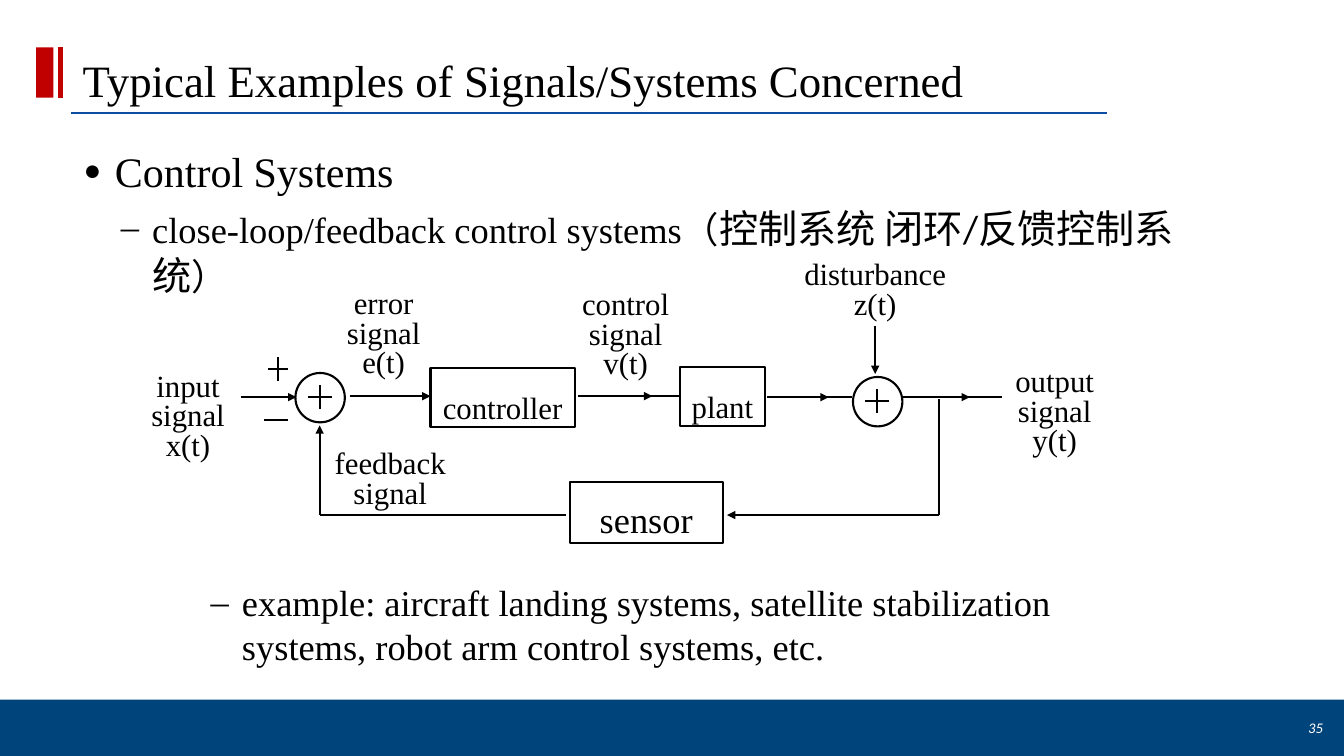
from dataclasses import dataclass

from lxml.etree import SubElement
from pptx import Presentation
from pptx.dml.color import RGBColor
from pptx.enum.shapes import MSO_CONNECTOR, MSO_SHAPE
from pptx.enum.text import MSO_ANCHOR, MSO_AUTO_SIZE, PP_ALIGN
from pptx.oxml.ns import qn
from pptx.util import Inches, Pt

SERIF = "Times New Roman"
BLACK = "000000"
RED = "C00000"
FORWARD_Y = 3.94
FEEDBACK_Y = 5.11
SENSE_X = 9.31
ERROR_X = 3.17


@dataclass(frozen=True)
class Box:
    left: float
    top: float
    width: float
    height: float


@dataclass(frozen=True)
class Block:
    text: str
    box: Box
    size: float = 22
    spacing: float = 1.5


@dataclass(frozen=True)
class Label:
    text: str
    box: Box
    anchor: MSO_ANCHOR = MSO_ANCHOR.TOP


@dataclass(frozen=True)
class Line:
    x1: float
    y1: float
    x2: float
    y2: float
    arrow: bool = False


BLOCKS = (
    Block("plant", Box(6.74, 3.64, 0.85, 0.59)),
    Block("controller", Box(4.27, 3.65, 1.43, 0.59)),
    Block("sensor", Box(5.65, 4.78, 1.52, 0.61), 26, 1.3),
)
LABELS = (
    Label("error signal e(t)", Box(3.3, 2.84, 1.01, 1)),
    Label("control signal v(t)", Box(5.59, 2.84, 1.23, 0.99), MSO_ANCHOR.MIDDLE),
    Label("output signal y(t)", Box(9.87, 3.61, 1.18, 0.99)),
    Label("input signal x(t)", Box(1.28, 3.65, 1.17, 0.99), MSO_ANCHOR.MIDDLE),
    Label("disturbance z(t)", Box(7.85, 2.55, 1.66, 0.7)),
    Label("feedback signal", Box(3.15, 4.42, 1.44, 0.69), MSO_ANCHOR.MIDDLE),
)
JUNCTIONS = ((ERROR_X, FORWARD_Y), (8.7, 3.98))
LINES = (
    Line(2.39, FORWARD_Y, 2.94, FORWARD_Y, True),
    Line(3.47, 3.93, 4.27, 3.93, True),
    Line(5.73, 3.93, 6.47, 3.93, True),
    Line(6.39, 3.93, 6.73, 3.93),
    Line(7.61, FORWARD_Y, 8.22, FORWARD_Y, True),
    Line(8.17, FORWARD_Y, 8.45, FORWARD_Y),
    Line(8.95, FORWARD_Y, 9.62, FORWARD_Y, True),
    Line(9.5, FORWARD_Y, 9.94, FORWARD_Y),
    Line(8.68, 3.23, 8.68, 3.71, True),
    Line(SENSE_X, 3.96, SENSE_X, FEEDBACK_Y),
    Line(SENSE_X, FEEDBACK_Y, 7.21, FEEDBACK_Y, True),
    Line(5.61, FEEDBACK_Y, ERROR_X, FEEDBACK_Y),
    Line(ERROR_X, FEEDBACK_Y, ERROR_X, 4.22, True),
    Line(2.62, 4.17, 2.86, 4.17),
)


def color(value: str) -> RGBColor:
    """Turn a hex string into a colour."""
    return RGBColor.from_string(value)


def place(shape, box: Box) -> None:
    """Move and size a shape."""
    shape.left, shape.top = Inches(box.left), Inches(box.top)
    shape.width, shape.height = Inches(box.width), Inches(box.height)


def format_run(run, size: float, font: str = SERIF, value: str = BLACK) -> None:
    """Give a run its font, size and colour."""
    run.font.name, run.font.size = font, Pt(size)
    run.font.color.rgb = color(value)


def add_shape(slide, kind: MSO_SHAPE, box: Box, fill: str = "", outline: str = ""):
    """Add a preset shape with an optional fill and outline."""
    shape = slide.shapes.add_shape(
        kind, Inches(box.left), Inches(box.top), Inches(box.width), Inches(box.height))
    shape.shadow.inherit = False
    if fill:
        shape.fill.solid()
        shape.fill.fore_color.rgb = color(fill)
    else:
        shape.fill.background()
    if outline:
        shape.line.color.rgb = color(outline)
        shape.line.width = Pt(1.5)
    else:
        shape.line.fill.background()
    return shape


def add_line(slide, line: Line, value: str = BLACK, width: float = 1.5) -> None:
    """Draw a straight line, with an arrowhead at its end if asked."""
    connector = slide.shapes.add_connector(
        MSO_CONNECTOR.STRAIGHT,
        Inches(line.x1), Inches(line.y1), Inches(line.x2), Inches(line.y2))
    connector.line.color.rgb = color(value)
    connector.line.width = Pt(width)
    if line.arrow:
        SubElement(connector.line._get_or_add_ln(), qn("a:tailEnd"), type="triangle")
    SubElement(connector._element.spPr, qn("a:effectLst"))


def add_plus(slide, x: float, y: float, reach: float = 0.12) -> None:
    """Draw a plus sign around a centre."""
    add_line(slide, Line(x - reach, y, x + reach, y))
    add_line(slide, Line(x, y - 0.12, x, y + 0.12))


def write(shape, text: str, size: float, spacing: float, anchor: MSO_ANCHOR,
          align: PP_ALIGN = PP_ALIGN.CENTER, font: str = SERIF, value: str = BLACK):
    """Write one formatted paragraph into a shape and return its run."""
    frame = shape.text_frame
    frame.text = text
    frame.word_wrap, frame.vertical_anchor = True, anchor
    frame.auto_size = MSO_AUTO_SIZE.NONE
    paragraph = frame.paragraphs[0]
    paragraph.alignment, paragraph.line_spacing = align, spacing
    format_run(paragraph.runs[0], size, font, value)
    return paragraph.runs[0]


def add_text(slide, box: Box):
    """Add an empty text box."""
    return slide.shapes.add_textbox(
        Inches(box.left), Inches(box.top), Inches(box.width), Inches(box.height))


def set_bullet(paragraph, mark: str, margin: float, before: float, percent: int = 100) -> None:
    """Give a paragraph its bullet, hanging indent and space before."""
    paragraph.space_before = Pt(before)
    properties = paragraph._p.get_or_add_pPr()
    properties.set("marL", str(Inches(margin)))
    properties.set("indent", str(Inches(-0.31)))
    SubElement(properties, qn("a:buSzPct"), val=str(percent * 1000))
    SubElement(properties, qn("a:buFont"), typeface=SERIF)
    SubElement(properties, qn("a:buChar"), char=mark)


def fill_lists(topic, example) -> None:
    """Fill the two list placeholders."""
    place(topic, Box(0.23, 1.14, 12.09, 1.41))
    write(topic, "Control Systems", 30, 1.5, MSO_ANCHOR.TOP, PP_ALIGN.LEFT)
    set_bullet(topic.text_frame.paragraphs[0], "●", 0.81, 12, 70)
    detail = topic.text_frame.add_paragraph()
    detail.level = 1
    set_bullet(detail, "–", 1.18, 6)
    for text, size, font in (("close-loop/feedback control systems（", 26, SERIF),
                             ("控制系统 闭环/反馈控制系统", 28, "Calibri"),
                             ("）", 26, SERIF)):
        run = detail.add_run()
        run.text = text
        format_run(run, size, font)
    place(example, Box(1.12, 5.71, 10, 0.98))
    write(example, "example: aircraft landing systems, satellite stabilization "
          "systems, robot arm control systems, etc.", 26, 1.0, MSO_ANCHOR.TOP, PP_ALIGN.LEFT)
    example.text_frame.paragraphs[0].level = 1
    set_bullet(example.text_frame.paragraphs[0], "–", 1.18, 6)


def main() -> None:
    """Build the slide and save it."""
    presentation = Presentation()
    presentation.slide_width, presentation.slide_height = Inches(13.33), Inches(7.5)
    slide = presentation.slides.add_slide(presentation.slide_layouts[3])
    title, topic, example = slide.placeholders
    add_shape(slide, MSO_SHAPE.RECTANGLE, Box(0, 6.94, 13.33, 0.56), "00447C")
    add_line(slide, Line(0.7, 1.12, 10.98, 1.12), "0B4DA2")
    add_shape(slide, MSO_SHAPE.RECTANGLE, Box(0.36, 0.47, 0.17, 0.5), RED)
    add_line(slide, Line(0.6, 0.47, 0.6, 0.97), RED, 3)
    place(title, Box(0.33, 0.25, 10.65, 0.86))
    write(title, "Typical Examples of Signals/Systems Concerned", 32, 0.85,
          MSO_ANCHOR.BOTTOM, PP_ALIGN.LEFT)
    title.text_frame.paragraphs[0].space_after = Pt(6)
    title.text_frame.paragraphs[0]._p.get_or_add_pPr().set("marL", str(Inches(0.39)))
    fill_lists(topic, example)
    number = write(add_text(slide, Box(11.79, 7.02, 1.43, 0.4)), "35", 10.5, 1.0,
                   MSO_ANCHOR.MIDDLE, PP_ALIGN.RIGHT, "Calibri", "FFFFFF")
    number.font.italic = True
    for block in BLOCKS:
        shape = add_shape(slide, MSO_SHAPE.RECTANGLE, block.box, outline=BLACK)
        write(shape, block.text, block.size, block.spacing, MSO_ANCHOR.MIDDLE)
    for label in LABELS:
        write(add_text(slide, label.box), label.text, 22, 0.8, label.anchor)
    for x, y in JUNCTIONS:
        add_shape(slide, MSO_SHAPE.OVAL, Box(x - 0.24, y - 0.24, 0.49, 0.49), outline=BLACK)
        add_plus(slide, x, y)
    add_plus(slide, 2.76, 3.66, 0.1)
    for line in LINES:
        add_line(slide, line)
    presentation.save("out.pptx")


if __name__ == "__main__":
    main()
